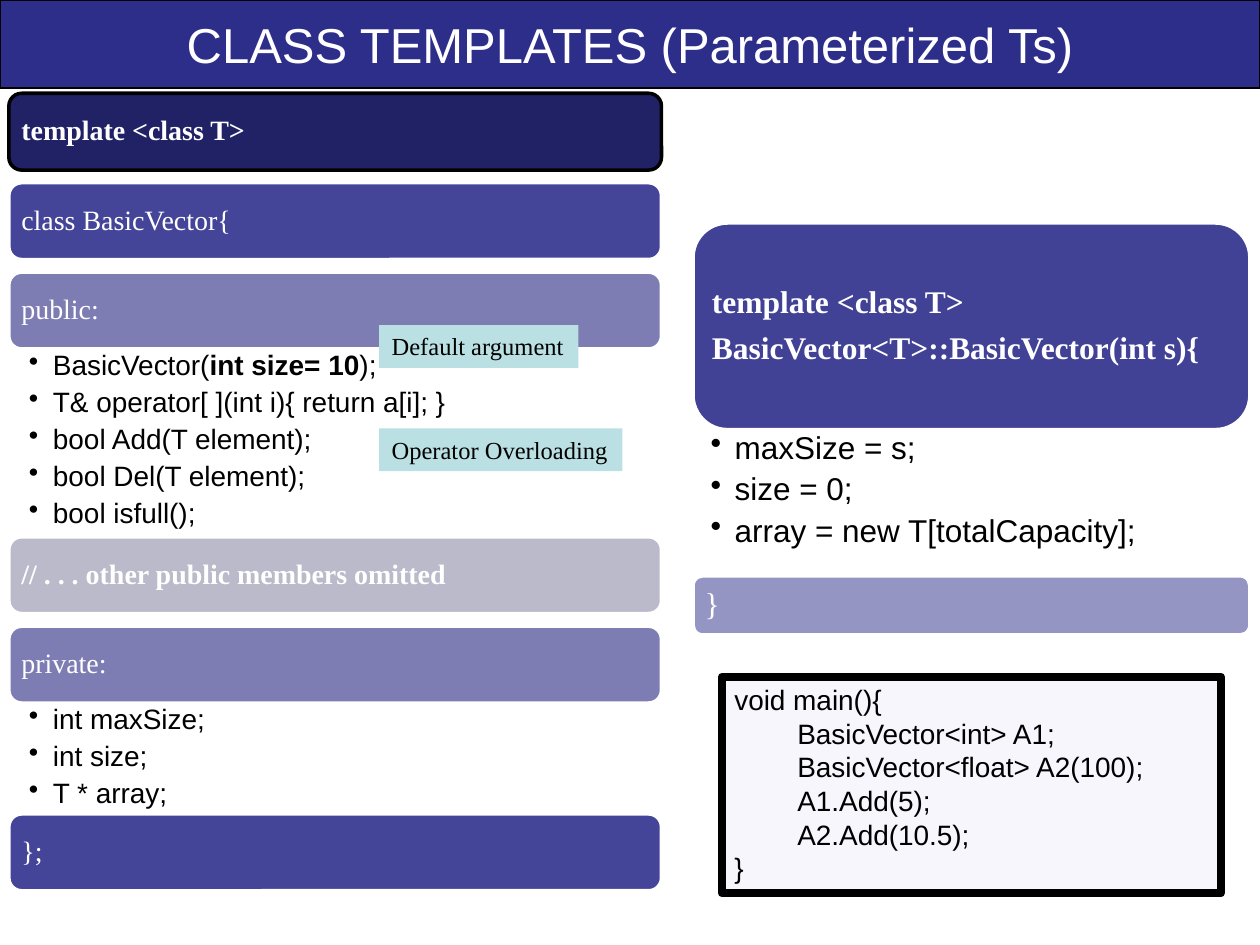
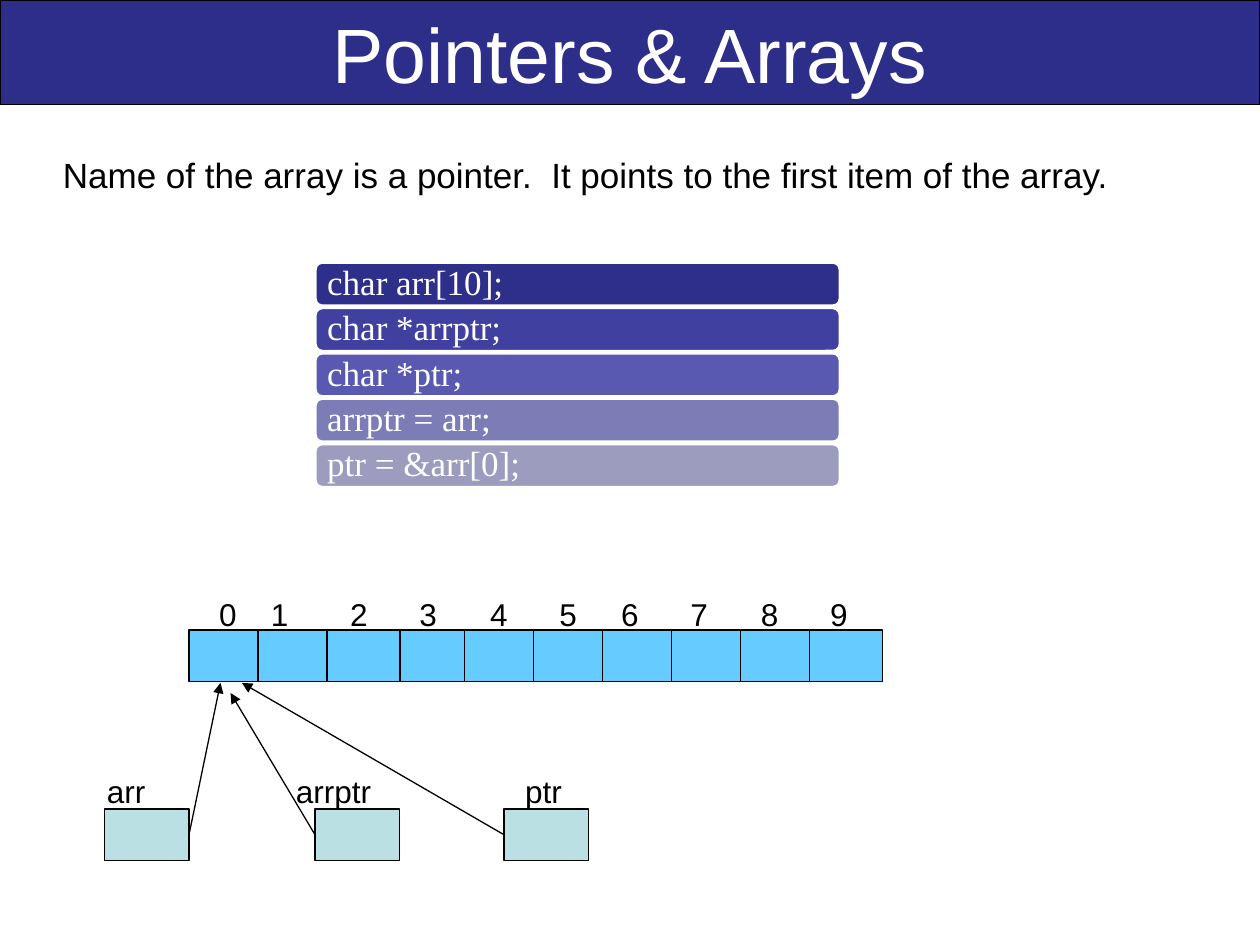
from collections import namedtuple

from lxml import etree
from pptx import Presentation
from pptx.dml.color import RGBColor
from pptx.enum.shapes import MSO_CONNECTOR, MSO_SHAPE
from pptx.enum.text import MSO_ANCHOR, PP_ALIGN
from pptx.oxml.ns import qn
from pptx.util import Inches, Pt

RECT, ROUND = MSO_SHAPE.RECTANGLE, MSO_SHAPE.ROUNDED_RECTANGLE
STRAIGHT = MSO_CONNECTOR.STRAIGHT
TOP, MIDDLE = MSO_ANCHOR.TOP, MSO_ANCHOR.MIDDLE
LEFT, CENTER = PP_ALIGN.LEFT, PP_ALIGN.CENTER
SITE_LEFT, SITE_RIGHT = 1, 3

BLACK = RGBColor(0x00, 0x00, 0x00)
WHITE = RGBColor(0xFF, 0xFF, 0xFF)
NAVY = RGBColor(0x2D, 0x2D, 0x8A)
DARK_NAVY = RGBColor(0x21, 0x21, 0x66)
INDIGO = RGBColor(0x44, 0x44, 0x98)
LAVENDER = RGBColor(0x7D, 0x7D, 0xB3)
GREY = RGBColor(0xBA, 0xBA, 0xCA)
PALE = RGBColor(0xF6, 0xF6, 0xFC)
TEAL = RGBColor(0xBB, 0xE0, 0xE3)
SKY = RGBColor(0x66, 0xCC, 0xFF)
SHADES = [RGBColor(0x2E, 0x2E, 0x8B), RGBColor(0x40, 0x40, 0xA1),
          RGBColor(0x59, 0x59, 0xB1), RGBColor(0x7C, 0x7C, 0xB7),
          RGBColor(0x9C, 0x9C, 0xBF)]
SANS, SERIF = "Arial", "Times New Roman"

Bar = namedtuple("Bar", "lines fill height bold line alpha bullets bullets_height",
                 defaults=(False, WHITE, None, (), 0))


def write(sp, lines, size=18, font=SANS, color=BLACK, bold=False, align=LEFT,
          anchor=TOP, margins=(0.1, 0.05), wrap=True, spacing=None, after=0,
          bullet=False, tabs=()):
    tf = sp.text_frame
    tf.word_wrap = wrap
    tf.vertical_anchor = anchor
    tf.margin_left = tf.margin_right = Inches(margins[0])
    tf.margin_top = tf.margin_bottom = Inches(margins[1])
    for i, line in enumerate(lines):
        p = tf.add_paragraph() if i else tf.paragraphs[0]
        pPr = p._p.get_or_add_pPr()
        if bullet:
            pPr.set("marL", str(Inches(0.19)))
            pPr.set("indent", str(-Inches(0.19)))
            etree.SubElement(pPr, qn("a:buChar"), char="•")
        if tabs:
            tab_list = etree.SubElement(pPr, qn("a:tabLst"))
            for tab in tabs:
                etree.SubElement(tab_list, qn("a:tab"), pos=str(Inches(tab)), algn="ctr")
        p.alignment = align
        p.space_after = Pt(after)
        if spacing:
            p.line_spacing = spacing
        runs = [(line, bold)] if isinstance(line, str) else line
        for text, is_bold in runs:
            r = p.add_run()
            r.text = text
            r.font.size, r.font.name, r.font.bold = Pt(size), font, is_bold
            r.font.color.rgb = color


def add_box(s, box, fill, line=BLACK, width=0.75, kind=RECT, alpha=None):
    sp = s.shapes.add_shape(kind, *map(Inches, box))
    sp.shadow.inherit = False
    sp.fill.solid()
    sp.fill.fore_color.rgb = fill
    if alpha:
        color = sp._element.spPr.find(qn("a:solidFill"))[0]
        etree.SubElement(color, qn("a:alpha"), val=str(alpha * 1000))
    if line is None:
        sp.line.fill.background()
    else:
        sp.line.color.rgb = line
        sp.line.width = Pt(width)
    return sp


def add_text(s, box, lines, **fmt):
    sp = s.shapes.add_textbox(*map(Inches, box))
    write(sp, lines, **fmt)
    return sp


def add_title(s, text, height, size):
    sp = add_box(s, (0, 0, 10, height), NAVY)
    write(sp, [text], size=size, color=WHITE, align=CENTER, anchor=MIDDLE)


def add_bar_stack(s, left, top, width, bars, size, gap, inset=0.07, bullet_inset=0.15):
    for bar in bars:
        sp = add_box(s, (left, top, width, bar.height), bar.fill, bar.line, 2,
                     ROUND, bar.alpha)
        write(sp, bar.lines, size=size, font=SERIF, color=WHITE, bold=bar.bold,
              anchor=MIDDLE, margins=(inset, inset), spacing=0.9, after=size * 0.39)
        top += bar.height
        if bar.bullets:
            add_text(s, (left, top, width, bar.bullets_height), bar.bullets, size=size,
                     margins=(bullet_inset, 0.02), spacing=0.9, after=size * 0.24,
                     bullet=True)
            top += bar.bullets_height
        else:
            top += gap


def add_callout(s, left, top, width, text):
    sp = add_box(s, (left, top, width, 0.34), TEAL, None)
    write(sp, [text], size=14, font=SERIF, wrap=False)


def add_usage(s, box):
    sp = add_box(s, box, PALE, BLACK, 4.5)
    write(sp, ["void main(){", "\tBasicVector<int> A1;", "\tBasicVector<float> A2(100);",
               "\tA1.Add(5);", "\tA2.Add(10.5);", "}"], size=16)


def add_arrow(s, start, site, end):
    c = s.shapes.add_connector(STRAIGHT, 0, 0, *map(Inches, end))
    c.begin_connect(start, site)
    c.line.color.rgb = BLACK
    c.line.width = Pt(0.75)
    etree.SubElement(c.line._get_or_add_ln(), qn("a:tailEnd"), type="triangle")
    etree.SubElement(c._element.spPr, qn("a:effectLst"))


def add_array(s, left, top):
    cell_width, pitch = 0.58, 0.547
    for i in (0, *range(3, 10), 1, 2):
        add_box(s, (left + i * pitch, top, cell_width, 0.41), SKY)
    digits = "".join(f"\t{i}" for i in range(10))
    add_text(s, (left, top - 0.33, 5.58, 0.4), [digits],
             tabs=(0.21, 0.62, 1.25, 1.8, 2.36, 2.91, 3.4, 3.95, 4.51, 5.06))


def add_pointers(s, top, pointers):
    for name, left, label_left, label_width, site, tip in pointers:
        sp = add_box(s, (left, top, 0.67, 0.41), TEAL)
        add_text(s, (label_left, top - 0.34, label_width, 0.4), [name], wrap=False)
        add_arrow(s, sp, site, tip)


def build_class_templates(s):
    add_title(s, "CLASS TEMPLATES (Parameterized Ts)", 0.7, 28)
    add_bar_stack(s, 0.07, 0.74, 5.18, [
        Bar(["template <class T>"], DARK_NAVY, 0.61, bold=True, line=BLACK),
        Bar(["class BasicVector{"], INDIGO, 0.61),
        Bar(["public:"], LAVENDER, 0.61, bullets_height=1.49, bullets=[
            [("BasicVector(", False), ("int size= 10", True), (");", False)],
            "T& operator[ ](int i){ return a[i]; }",
            "bool Add(T element);", "bool Del(T element);", "bool isfull();"]),
        Bar(["// . . . other public members omitted"], GREY, 0.61, bold=True),
        Bar(["private:"], LAVENDER, 0.61, bullets_height=0.88,
            bullets=["int maxSize;", "int size;", "T * array;"]),
        Bar(["};"], INDIGO, 0.61),
    ], size=16, gap=0.1, bullet_inset=0.16)
    add_bar_stack(s, 5.5, 1.77, 4.42, [
        Bar(["template <class T>", "BasicVector<T>::BasicVector(int s){"], NAVY, 1.64,
            bold=True, alpha=90, bullets_height=1.16,
            bullets=["maxSize = s;", "size = 0;", "array = new T[totalCapacity];"]),
        Bar(["}"], NAVY, 0.47, alpha=50),
    ], size=18, gap=0.1, bullet_inset=0.14)
    add_callout(s, 3.01, 2.58, 1.58, "Default argument")
    add_usage(s, (5.73, 5.37, 3.96, 1.72))
    add_callout(s, 3.01, 3.4, 1.93, "Operator Overloading")


def build_pointers_arrays(s):
    add_title(s, "Pointers & Arrays", 0.83, 44)
    add_text(s, (0.4, 1.17, 8.75, 1),
             ["Name of the array is a pointer.  It points to the first item of the array."],
             size=20)
    add_array(s, 1.5, 5)
    add_pointers(s, 6.42, [
        ("arr", 0.83, 0.75, 0.51, SITE_RIGHT, (1.75, 5.42)),
        ("arrptr", 2.5, 2.25, 0.81, SITE_LEFT, (1.83, 5.5)),
        ("ptr", 4, 4.07, 0.5, SITE_LEFT, (1.92, 5.42)),
    ])
    statements = ["char arr[10];", "char *arrptr;", "char *ptr;", "arrptr = arr;",
                  "ptr = &arr[0];"]
    bars = [Bar([text], shade, 0.35) for text, shade in zip(statements, SHADES)]
    add_bar_stack(s, 2.5, 2.08, 4.17, bars, size=20, gap=0.01, inset=0.08)


def main():
    prs = Presentation()
    prs.slide_width, prs.slide_height = Inches(10), Inches(7.5)
    for build in (build_class_templates, build_pointers_arrays):
        build(prs.slides.add_slide(prs.slide_layouts[6]))
    prs.save("out.pptx")


if __name__ == "__main__":
    main()
